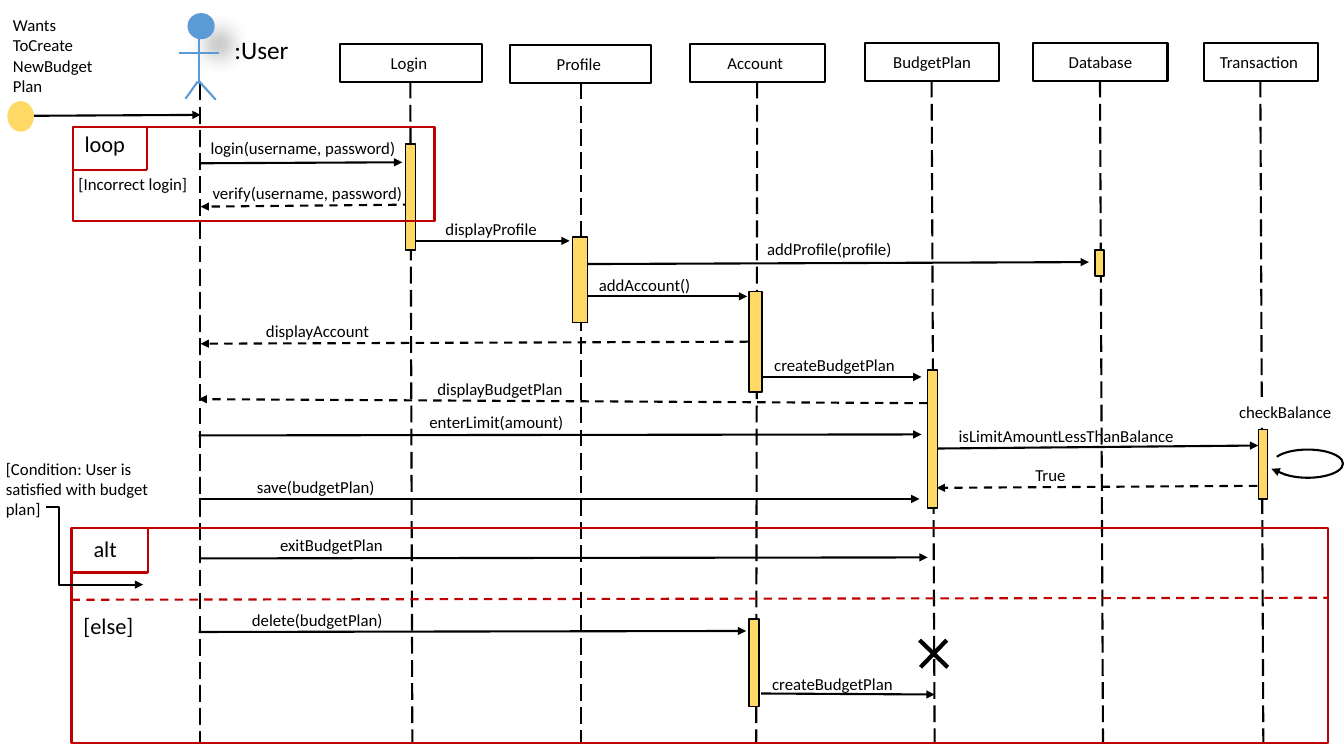
import pptx
import pptx.dml.color
import pptx.enum.dml
import pptx.enum.shapes
import pptx.enum.text
import pptx.oxml
import pptx.oxml.ns
import pptx.util

RGBColor = pptx.dml.color.RGBColor
BLACK = RGBColor(0x00, 0x00, 0x00)
WHITE = RGBColor(0xFF, 0xFF, 0xFF)
RED = RGBColor(0xC0, 0x00, 0x00)
YELLOW = RGBColor(0xFF, 0xD9, 0x66)
BLUE = RGBColor(0x5B, 0x9B, 0xD5)

SCALE = 9144  # EMU in one px, 100 px to the inch
SLIDE_SIZE = (1333, 750)
HEADER_HEIGHT = 37
LABEL_HEIGHT = 30
USER_LIFELINE = (198, 83, 198, 738)

# name, left, top, width, x of the lifeline's foot
PARTICIPANTS = [
    ("Login ", 337, 44, 141, 409),
    ("Profile ", 506, 45, 140, 576),
    ("Account ", 684, 44, 134, 750),
    ("BudgetPlan", 858, 43, 133, 927),
    ("Database", 1025, 43, 133, 1094),
    ("Transaction ", 1194, 43, 113, 1253),
]
# text, (left, top, width) of the label, (x1, y1, x2, y2) of the arrow
CALLS = [
    ("login(username, password)", (199, 132, 216), (199, 162, 399, 161)),
    ("displayProfile", (432, 212, 184), (410, 239, 565, 239)),
    ("addProfile(profile)", (751, 232, 188), (578, 262, 1080, 260)),
    ("addAccount()", (584, 268, 178), (578, 294, 741, 294)),
    ("createBudgetPlan", (758, 347, 178), (756, 374, 914, 374)),
    ("enterLimit(amount)", (416, 404, 172), (197, 432, 914, 431)),
    ("isLimitAmountLessThanBalance", (941, 417, 300), (925, 445, 1248, 442)),
    ("save(budgetPlan)", (245, 468, 213), (197, 495, 912, 495)),
    ("exitBudgetPlan", (268, 526, 163), (199, 554, 920, 553)),
    ("delete(budgetPlan)", (240, 600, 206), (197, 627, 740, 626)),
    ("createBudgetPlan", (756, 663, 175), (755, 688, 927, 689)),
]
REPLIES = [
    ("verify(username, password)", (201, 176, 214), (408, 203, 199, 205)),
    ("displayAccount", (254, 313, 190), (742, 339, 199, 341)),
    ("displayBudgetPlan", (424, 371, 151), (920, 400, 197, 396)),
    ("True", (1017, 456, 178), (1247, 482, 929, 484)),
]
ACTIVATIONS = [
    (402, 143, 10, 105), (568, 235, 15, 85), (743, 289, 13, 100),
    (920, 367, 10, 137), (1086, 248, 9, 26), (1248, 426, 9, 69),
    (743, 614, 10, 87),
]
# frame box, size of its name tab
FRAMES = [((72, 126, 359, 93), (74, 43)), ((71, 524, 1246, 213), (76, 44))]
ALT_DIVIDER = (71, 595, 1317, 593)
# text, box, point size
NOTES = [
    ("Wants ToCreate NewBudget Plan", (3, 10, 109, 91), 12),
    ("[Condition: User is satisfied with budget plan]", (-4, 450, 176, 71), 12),
    ("[Incorrect login]", (68, 167, 154, 30), 12),
    ("loop", (74, 124, 74, 37), 16),
    (" alt", (78, 526, 76, 37), 16),
    ("[else]", (73, 602, 87, 37), 16),
    (" :User", (217, 29, 92, 40), 18),
]
START_ARROW = (8, 115, 199, 114)
START_DOT = (8, 101, 25, 29)
USER_HEAD = (186, 13, 27, 26)
USER_LIMBS = [(197, 37, 197, 83), (178, 53, 217, 53),
              (196, 81, 184, 98), (197, 80, 214, 99)]
DESTROY_CROSS = [(912, 635, 940, 662), (913, 662, 939, 635)]
CONDITION_ARROW = (46, 503, 142, 580)
CONDITION_BEND = 13500
SELF_CALL_LABEL = ("checkBalance", (1219, 394, 112, 30), 12)
SELF_CALL_LOOP = (1262, 446, 70, 28)
SELF_CALL_ANGLES = (115.49, 92.57)
SELF_CALL_ARROW = (1275, 471, 1261, 465)

DASH = pptx.enum.dml.MSO_LINE.DASH
LONG_DASH = pptx.enum.dml.MSO_LINE.LONG_DASH
SHAPES = pptx.enum.shapes.MSO_SHAPE
CONNECTORS = pptx.enum.shapes.MSO_CONNECTOR
NAMESPACE = pptx.oxml.ns.nsdecls("a")

presentation = pptx.Presentation()
presentation.slide_width, presentation.slide_height = [n * SCALE for n in SLIDE_SIZE]
slide = presentation.slides.add_slide(presentation.slide_layouts[6])


def to_emu(lengths):
    return [length * SCALE for length in lengths]


def add_xml(parent, xml):
    element = pptx.oxml.parse_xml(xml)
    parent.append(element)
    return element


def add_line(ends, color=BLACK, width=1.5, dash=None, arrow=False,
             kind=CONNECTORS.STRAIGHT):
    connector = slide.shapes.add_connector(kind, *to_emu(ends))
    connector.line.color.rgb = color
    line_format = {"width": pptx.util.Pt(width), "dash_style": dash}
    for name, value in line_format.items():
        setattr(connector.line, name, value)
    if arrow:
        add_xml(connector.line._get_or_add_ln(), f'<a:tailEnd {NAMESPACE} type="triangle"/>')
    add_xml(connector._element.spPr, f"<a:effectLst {NAMESPACE}/>")
    return connector


def add_shape(kind, box, fill=None, line=BLACK, width=1.5):
    shape = slide.shapes.add_shape(kind, *to_emu(box))
    shape.shadow.inherit = False
    if fill is None:
        shape.fill.background()
    else:
        shape.fill.solid()
        shape.fill.fore_color.rgb = fill
    if line is None:
        shape.line.fill.background()
    else:
        shape.line.color.rgb = line
        shape.line.width = pptx.util.Pt(width)
    return shape


def write_text(shape, text, size, alignment):
    paragraph = shape.text_frame.paragraphs[0]
    paragraph.alignment = alignment
    run = paragraph.add_run()
    run.text = text
    run.font.color.rgb = BLACK
    font_format = {"name": "Calibri", "size": pptx.util.Pt(size)}
    for name, value in font_format.items():
        setattr(run.font, name, value)


def add_text(text, box, size=12):
    text_box = slide.shapes.add_textbox(*to_emu(box))
    frame_format = {"word_wrap": True,
                    "auto_size": pptx.enum.text.MSO_AUTO_SIZE.SHAPE_TO_FIT_TEXT}
    for name, value in frame_format.items():
        setattr(text_box.text_frame, name, value)
    write_text(text_box, text, size, pptx.enum.text.PP_ALIGN.LEFT)
    return text_box


add_line(USER_LIFELINE, dash=LONG_DASH)
for name, left, top, width, foot in PARTICIPANTS:
    add_line((left + width // 2, top + HEADER_HEIGHT, foot, USER_LIFELINE[3]), dash=LONG_DASH)
    header = add_shape(SHAPES.RECTANGLE, (left, top, width, HEADER_HEIGHT), WHITE)
    header.text_frame.vertical_anchor = pptx.enum.text.MSO_ANCHOR.MIDDLE
    write_text(header, name, 12, pptx.enum.text.PP_ALIGN.CENTER)

for messages, dash in ((CALLS, None), (REPLIES, DASH)):
    for text, label, ends in messages:
        add_line(ends, dash=dash, arrow=True)
        add_text(text, (*label, LABEL_HEIGHT))
for box in ACTIVATIONS:
    add_shape(SHAPES.RECTANGLE, box, YELLOW, width=1)

for box, (tab_width, tab_height) in FRAMES:
    left, top = box[:2]
    right, bottom = left + tab_width, top + tab_height
    add_shape(SHAPES.RECTANGLE, box, line=RED)
    add_line((left, bottom, right, bottom), RED)
    add_line((right, bottom, right, top), RED)
add_line(ALT_DIVIDER, RED, dash=DASH)
for note in NOTES:
    add_text(*note)

condition = add_line(CONDITION_ARROW, arrow=True, kind=CONNECTORS.ELBOW)
geometry = condition._element.spPr.find(pptx.oxml.ns.qn("a:prstGeom"))
for guides in list(geometry):
    geometry.remove(guides)
add_xml(geometry, f'<a:avLst {NAMESPACE}><a:gd name="adj1" fmla="val {CONDITION_BEND}"/></a:avLst>')

add_line(START_ARROW, arrow=True)
add_shape(SHAPES.OVAL, START_DOT, YELLOW, YELLOW, 1)
head = add_shape(SHAPES.OVAL, USER_HEAD, BLUE, None)
effects = head._element.spPr.find(pptx.oxml.ns.qn("a:effectLst"))
blur, distance = pptx.util.Pt(15), pptx.util.Pt(18)
add_xml(effects, f'<a:outerShdw {NAMESPACE} blurRad="{blur}" dist="{distance}" dir="2700000">'
        '<a:srgbClr val="000000"><a:alpha val="30000"/></a:srgbClr></a:outerShdw>')
for limb in USER_LIMBS:
    add_line(limb, BLUE)
for stroke in DESTROY_CROSS:
    add_line(stroke, width=3)

self_call = add_text(*SELF_CALL_LABEL)
self_call.fill.solid()
self_call.fill.fore_color.rgb = WHITE
loop = add_shape(SHAPES.ARC, SELF_CALL_LOOP)
for index, angle in enumerate(SELF_CALL_ANGLES):
    loop.adjustments[index] = angle
add_line(SELF_CALL_ARROW, arrow=True)

presentation.save("out.pptx")
